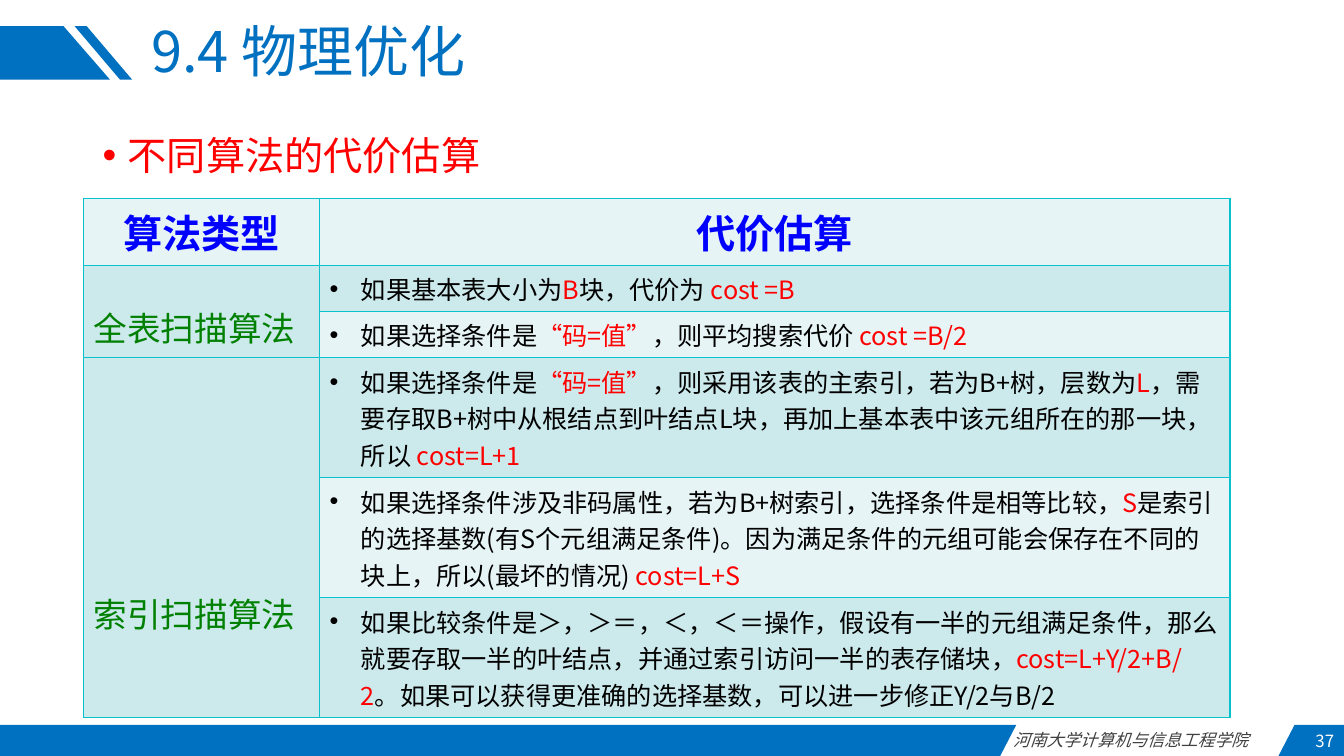
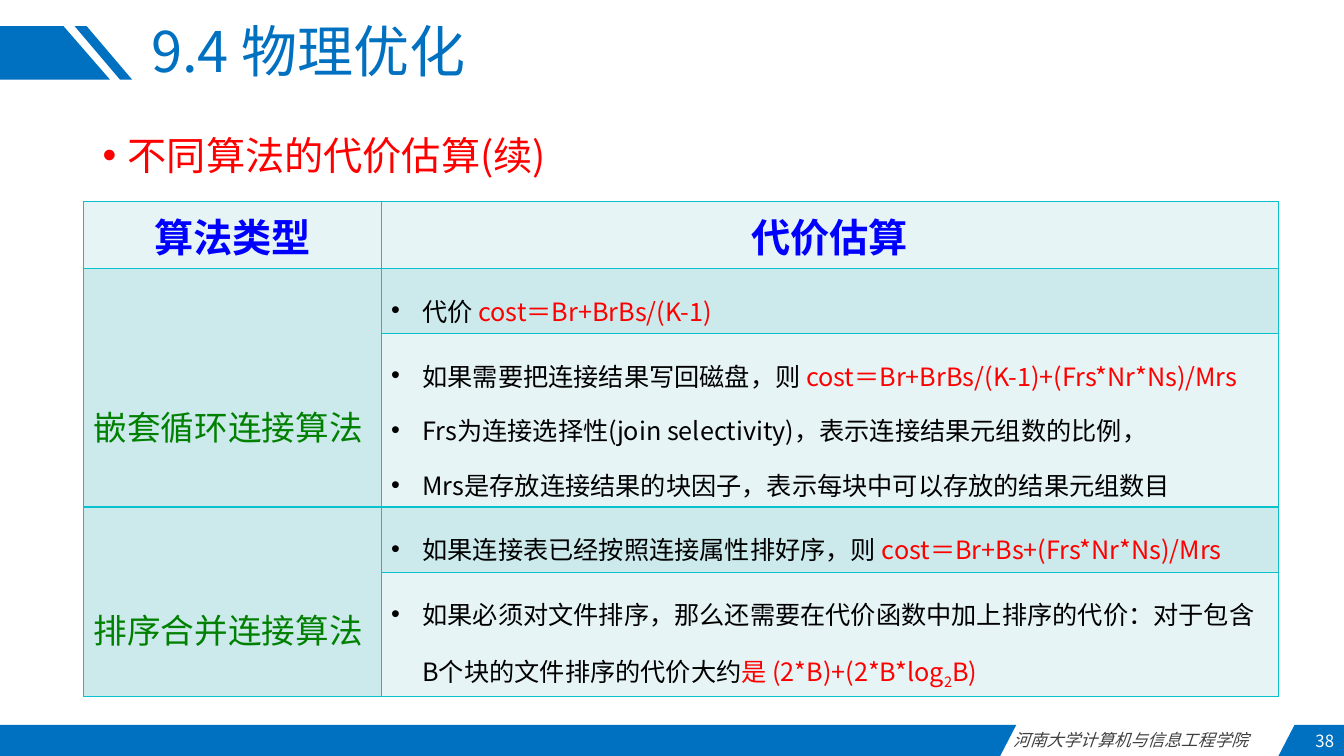
from lxml.etree import SubElement
from pptx import Presentation
from pptx.dml.color import RGBColor
from pptx.enum.text import MSO_ANCHOR, PP_ALIGN
from pptx.oxml.ns import qn
from pptx.util import Inches, Pt

FONT = "Noto Sans CJK SC"
COLORS = {
    "blue": "0070C0", "grey": "404040", "white": "FFFFFF", "black": "000000",
    "red": "FF0000", "head": "0000FF", "green": "008000",
    "light": "E7F4F6", "dark": "CCE9EC", "line": "07C1CC",
}
BANDS = [
    [(0, 0.26), (0.63, 0.26), (1.09, 0.79), (0, 0.79)],
    [(0.86, 0.26), (1.31, 0.79), (1.19, 0.79), (0.74, 0.26)],
    [(0, 7.19), (10.08, 7.19), (9.92, 7.5), (0, 7.5)],
    [(12.84, 7.19), (13.33, 7.19), (13.33, 7.5), (12.68, 7.5)],
]
TITLE = {"size": Pt(40), "color": "blue"}
TOPIC = {"size": Pt(28), "color": "red"}
SCHOOL = {"size": Pt(12), "color": "grey", "italic": True}
PAGE = {"size": Pt(12), "color": "white"}
HEAD = {"size": Pt(28), "color": "head", "bold": True}
KIND = {"size": Pt(24), "color": "green"}
COST = {"size": Pt(18), "color": "black"}

SCAN = {
    "page": 37, "topic": "不同算法的代价估算", "top": 1.97, "space": 1.0,
    "cols": [2.34, 9.03], "rows": [0.66, 0.46, 0.46, 1.19, 1.19, 1.19],
    "kinds": [("全表扫描算法", 2, 0.3), ("索引扫描算法", 3, 1.5)],
    "costs": [
        ["如果基本表大小为|B|块，代价为 |cost =B"],
        ["如果选择条件是|“码=值”|，则平均搜索代价 |cost =B/2"],
        ["如果选择条件是|“码=值”|，则采用该表的主索引，若为B+树，层数为|L|，"
         "需要存取B+树中从根结点到叶结点L块，再加上基本表中该元组所在的那一块，所以 |cost=L+1"],
        ["如果选择条件涉及非码属性，若为B+树索引，选择条件是相等比较，|S|"
         "是索引的选择基数(有S个元组满足条件)。因为满足条件的元组可能会保存在不同的块上，"
         "所以(最坏的情况) |cost=L+S"],
        ["如果比较条件是＞，＞＝，＜，＜＝操作，假设有一半的元组满足条件，"
         "那么就要存取一半的叶结点，并通过索引访问一半的表存储块，|cost=L+Y/2+B/2|"
         "。如果可以获得更准确的选择基数，可以进一步修正Y/2与B/2"],
    ],
}
JOIN = {
    "page": 38, "topic": "不同算法的代价估算(续)", "top": 2.0, "space": 1.5,
    "cols": [2.95, 8.9], "rows": [0.66, 0.65, 1.72, 0.65, 1.23],
    "kinds": [("嵌套循环连接算法", 2, 0.76), ("排序合并连接算法", 2, 0.53)],
    "costs": [
        ["代价 |cost＝Br+BrBs/(K-1)"],
        ["如果需要把连接结果写回磁盘，则 |cost＝Br+BrBs/(K-1)+(Frs*Nr*Ns)/Mrs",
         "Frs为连接选择性(join selectivity)，表示连接结果元组数的比例，",
         "Mrs是存放连接结果的块因子，表示每块中可以存放的结果元组数目"],
        ["如果连接表已经按照连接属性排好序，则 |cost＝Br+Bs+(Frs*Nr*Ns)/Mrs"],
        ["如果必须对文件排序，那么还需要在代价函数中加上排序的代价："
         "对于包含B个块的文件排序的代价大约|是 (2*B)+(2*B*log~2~B)"],
    ],
}


def tint(name):
    """Return the named colour."""
    return RGBColor.from_string(COLORS[name])


def apply(item, **vals):
    """Set each given attribute on an item."""
    for key, val in vals.items():
        setattr(item, key, val)


def add_run(para, text, look):
    """Append a run with the given look."""
    run = para.add_run()
    run.text = text
    vals = {"name": FONT, **look}
    run.font.color.rgb = tint(vals.pop("color"))
    apply(run.font, **vals)
    SubElement(run._r.get_or_add_rPr(), qn("a:ea")).set("typeface", FONT)
    return run


def add_rich(para, text, look):
    """Write text with |red| parts and ~lowered~ parts."""
    for i, part in enumerate(text.split("|")):
        shade = {**look, "color": "red"} if i % 2 else look
        for j, bit in enumerate(part.split("~")):
            if bit:
                run = add_run(para, bit, shade)
                if j % 2:
                    run._r.get_or_add_rPr().set("baseline", "-25000")


def add_dot(para, dent):
    """Give a paragraph a hanging bullet."""
    props = para._p.get_or_add_pPr()
    props.set("marL", str(Inches(dent)))
    props.set("indent", str(-Inches(dent)))
    SubElement(props, qn("a:buFont")).set("typeface", "Arial")
    SubElement(props, qn("a:buChar")).set("char", "•")


def add_text(slide, box, text, look, anchor=MSO_ANCHOR.TOP, **form):
    """Add a one-paragraph text box."""
    frame = slide.shapes.add_textbox(*map(Inches, box)).text_frame
    apply(frame, word_wrap=True, vertical_anchor=anchor)
    para = frame.paragraphs[0]
    apply(para, **form)
    add_run(para, text, look)
    return para


def add_band(slide, points):
    """Draw a filled outline."""
    spots = [(Inches(x), Inches(y)) for x, y in points]
    pen = slide.shapes.build_freeform(*spots[0])
    pen.add_line_segments(spots[1:], close=True)
    shape = pen.convert_to_shape()
    shape.shadow.inherit = False
    shape.fill.solid()
    shape.fill.fore_color.rgb = tint("blue")
    shape.line.fill.background()


def add_frame(slide, page, topic):
    """Add the bands, title, topic and footer."""
    for points in BANDS:
        add_band(slide, points)
    add_text(slide, (9.95, 7.19, 2.73, 0.3), "河南大学计算机与信息工程学院", SCHOOL)
    add_text(slide, (11.94, 7.2, 1.39, 0.3), str(page), PAGE,
             MSO_ANCHOR.MIDDLE, alignment=PP_ALIGN.RIGHT)
    add_text(slide, (1.4, 0.26, 10.45, 0.56), "9.4 物理优化", TITLE,
             MSO_ANCHOR.MIDDLE, line_spacing=0.9)
    para = add_text(slide, (0.92, 1.25, 11.5, 0.65), topic, TOPIC)
    add_dot(para, 0.25)


def style_cell(cell, shade):
    """Set the borders and fill of a cell."""
    props = cell._tc.get_or_add_tcPr()
    for side in ("lnL", "lnR", "lnT", "lnB"):
        edge = SubElement(props, qn(f"a:{side}"), w=str(Pt(1)))
        fill = SubElement(edge, qn("a:solidFill"))
        SubElement(fill, qn("a:srgbClr")).set("val", COLORS["line"])
    cell.fill.solid()
    cell.fill.fore_color.rgb = tint(shade)
    cell.vertical_anchor = MSO_ANCHOR.MIDDLE


def fill_cell(cell, lines, look, dent=0, **form):
    """Write paragraphs into a cell."""
    frame = cell.text_frame
    for i, line in enumerate(lines):
        para = frame.add_paragraph() if i else frame.paragraphs[0]
        if dent:
            add_dot(para, dent)
        apply(para, **form)
        add_rich(para, line, look)


def add_grid(slide, top, cols, rows, kinds, costs, space):
    """Add the table of algorithm costs."""
    table = slide.shapes.add_table(
        len(rows), len(cols), Inches(0.83), Inches(top),
        Inches(sum(cols)), Inches(sum(rows))).table
    apply(table, first_row=False, horz_banding=False)
    for col, width in zip(table.columns, cols):
        col.width = Inches(width)
    for r, height in enumerate(rows):
        table.rows[r].height = Inches(height)
        for c in range(len(cols)):
            dark = r % 2 or (r and c == 0)
            style_cell(table.cell(r, c), "dark" if dark else "light")
    for c, name in enumerate(("算法类型", "代价估算")):
        fill_cell(table.cell(0, c), [name], HEAD, alignment=PP_ALIGN.CENTER)
    row = 1
    for name, span, drop in kinds:
        cell = table.cell(row, 0)
        cell.merge(table.cell(row + span - 1, 0))
        cell.margin_top = Inches(0.05 + drop)
        fill_cell(cell, [name], KIND)
        row += span
    for r, lines in enumerate(costs, 1):
        fill_cell(table.cell(r, 1), lines, COST, 0.31, line_spacing=space)


def main():
    """Build and save the slides."""
    deck = Presentation()
    apply(deck, slide_width=Inches(13.33), slide_height=Inches(7.5))
    for data in (SCAN, JOIN):
        slide = deck.slides.add_slide(deck.slide_layouts[6])
        rest = dict(data)
        add_frame(slide, rest.pop("page"), rest.pop("topic"))
        add_grid(slide, **rest)
    deck.save("out.pptx")


if __name__ == "__main__":
    main()
